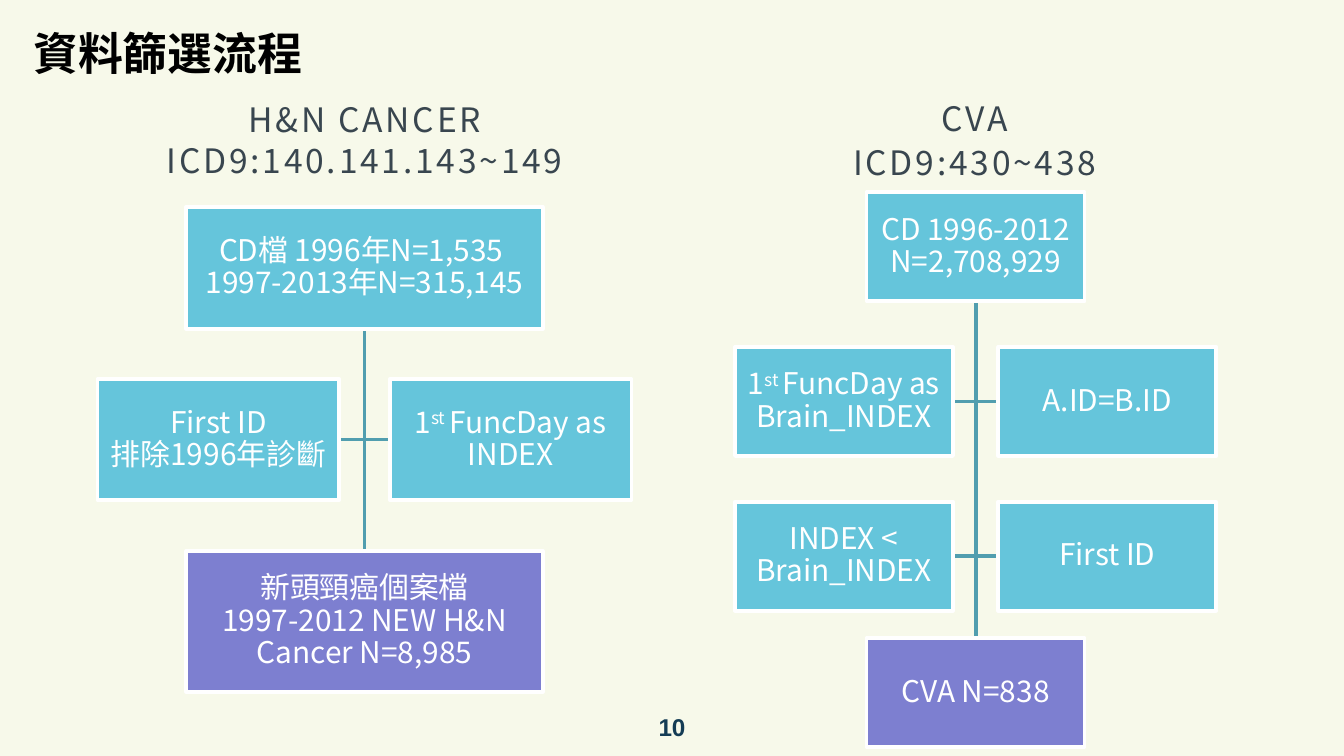
from lxml import etree
from pptx import Presentation
from pptx import util as u
from pptx.dml.color import RGBColor
from pptx.enum import shapes, text
from pptx.oxml.ns import qn

Pt = u.Pt
CJK = "Noto Sans CJK SC"
BLUE, PURPLE, WHITE, TEAL, SLATE = "65C5DB", "7D7FD0", "FFFFFF", "519EAF", "39464F"


def color(value):
    return RGBColor.from_string(value)


def write(shape, paragraphs, size, ink, font=CJK, bold=False, align="CENTER",
          leading=1.0, tracking=0, inset=None, wrap=True):
    frame = shape.text_frame
    frame.word_wrap = wrap
    frame.vertical_anchor = text.MSO_ANCHOR.MIDDLE
    if inset is not None:
        frame.margin_left = frame.margin_right = Pt(inset)
        frame.margin_top = frame.margin_bottom = Pt(inset)
    for index, line in enumerate(paragraphs):
        para = frame.add_paragraph() if index else frame.paragraphs[0]
        first, *rest = line.split("^")
        para.text = first
        for part, baseline in zip(rest, ("30000", "0")):
            span = para.add_run()
            span.text = part
            span._r.get_or_add_rPr().set("baseline", baseline)
        para.alignment = getattr(text.PP_ALIGN, align)
        para.line_spacing = leading
        para.font.size = Pt(size)
        para.font.bold = bold
        para.font.color.rgb = color(ink)
        para.font.name = font
        defaults = para._p.pPr.find(qn("a:defRPr"))
        etree.SubElement(defaults, qn("a:ea")).set("typeface", font)
        if tracking:
            defaults.set("spc", str(tracking))


deck = Presentation()
deck.slide_width, deck.slide_height = Pt(720), Pt(405)
page = deck.slides.add_slide(deck.slide_layouts[6])
page.background.fill.solid()
page.background.fill.fore_color.rgb = color("F7F9EA")

title = page.shapes.add_textbox(Pt(10.8), Pt(10), Pt(160), Pt(36))
write(title, ["資料篩選流程"], 24, "000000", bold=True, align="LEFT", wrap=False)
title.text_frame.auto_size = text.MSO_AUTO_SIZE.SHAPE_TO_FIT_TEXT

number = page.shapes.add_textbox(Pt(338.4), Pt(373.7), Pt(43.2), Pt(31))
write(number, ["10"], 13, "143C55", font="Arial", bold=True, inset=0)

headings = [
    (["H&N CANCER", "ICD9:140.141.143~149"], 75, 51.8, 241, 1.0),
    (["CVA", "ICD9:430~438"], 413.3, 51.1, 218, 1.1),
]
for lines, left, top, width, leading in headings:
    heading = page.shapes.add_textbox(Pt(left), Pt(top), Pt(width), Pt(46))
    write(heading, lines, 18, SLATE, leading=leading, tracking=150)

flows = [
    {
        "center": 195.3, "gap": 27,
        "start": (110.9, 191, 65.3, ["CD檔 1996年N=1,535 \v1997-2013年N=315,145"]),
        "end": (295.2, 191, 75.4, ["新頭頸癌個案檔", "1997-2012 NEW H&N Cancer N=8,985"]),
        "side": (129.6, 64.8),
        "rows": [(203.1, "First ID\v排除1996年診斷", "1^st ^FuncDay as INDEX")],
    },
    {
        "center": 522.7, "gap": 24.3,
        "start": (103, 116.8, 58.4, ["CD 1996-2012 N=2,708,929"]),
        "end": (341.8, 116.8, 58.4, ["CVA N=838"]),
        "side": (116.8, 58.4),
        "rows": [
            (185.9, "1^st ^FuncDay as Brain_INDEX", "A.ID=B.ID"),
            (268.8, "INDEX < Brain_INDEX", "First ID"),
        ],
    },
]

for flow in flows:
    center = flow["center"]
    boxes = []
    for (top, width, height, lines), fill in ((flow["start"], BLUE), (flow["end"], PURPLE)):
        boxes.append((center - width / 2, top, width, height, lines, fill))
    width, height = flow["side"]
    for top, left_label, right_label in flow["rows"]:
        boxes.append((center - flow["gap"] / 2 - width, top, width, height, [left_label], BLUE))
        boxes.append((center + flow["gap"] / 2, top, width, height, [right_label], BLUE))

    links = []
    for _ in range(len(boxes) // 2):
        link = page.shapes.add_connector(shapes.MSO_CONNECTOR.STRAIGHT, 0, 0, 0, 0)
        link.line.color.rgb = color(TEAL)
        link.line.width = Pt(2)
        etree.SubElement(link._element.spPr, qn("a:effectLst"))
        links.append(link)

    drawn = []
    for left, top, width, height, lines, fill in boxes:
        box = page.shapes.add_shape(shapes.MSO_SHAPE.RECTANGLE,
                                    Pt(left), Pt(top), Pt(width), Pt(height))
        box.shadow.inherit = False
        box.fill.solid()
        box.fill.fore_color.rgb = color(fill)
        box.line.color.rgb = color(WHITE)
        box.line.width = Pt(2)
        write(box, lines, 16, WHITE, leading=0.9, inset=0.8)
        drawn.append(box)

    for index, link in enumerate(links):
        begin_side, end_side = (3, 1) if index else (2, 0)
        link.begin_connect(drawn[2 * index], begin_side)
        link.end_connect(drawn[2 * index + 1], end_side)

deck.save("out.pptx")
